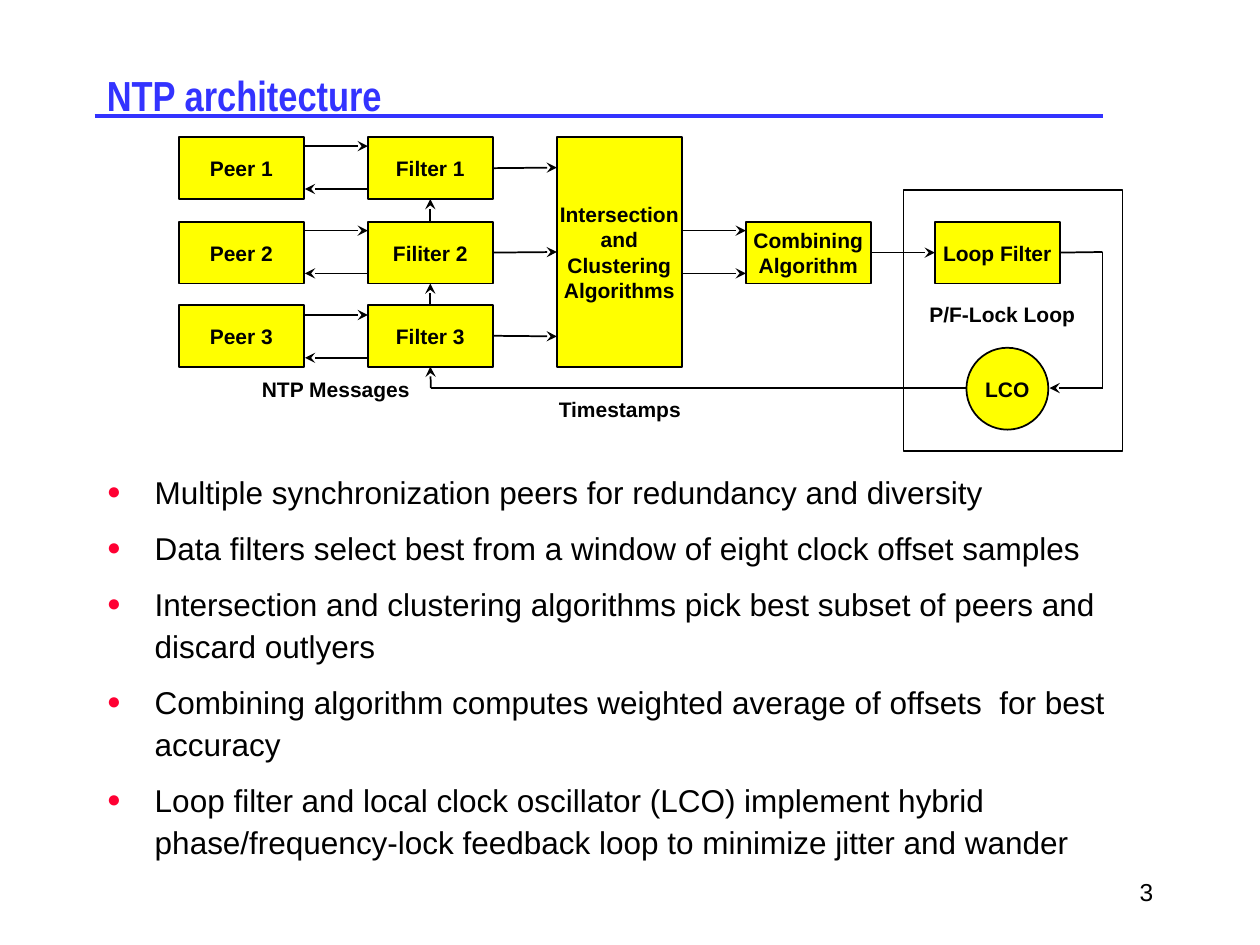
from lxml.etree import SubElement
from pptx import Presentation
from pptx.dml.color import RGBColor
from pptx.enum.shapes import MSO_CONNECTOR, MSO_SHAPE
from pptx.enum.text import MSO_ANCHOR, PP_ALIGN
from pptx.oxml.ns import qn
from pptx.util import Inches, Pt

BLACK = RGBColor(0x00, 0x00, 0x00)
WHITE = RGBColor(0xFF, 0xFF, 0xFF)
YELLOW = RGBColor(0xFF, 0xFF, 0x00)
BLUE = RGBColor(0x33, 0x33, 0xFF)
RED = RGBColor(0xFF, 0x00, 0x33)

TOP, LEFT, BOTTOM, RIGHT = range(4)
BOX_W, BOX_H = 0.99, 0.49
COLUMNS = [1.42 + 1.5 * i for i in range(5)]
ROWS = [1.09, 1.76, 2.42]
ROW_MIDDLES = [1.33, 2.0, 2.67]
ARROW_OFFSET = 0.17
FEEDBACK_Y = 3.08

BULLETS = [
    "Multiple synchronization peers for redundancy and diversity",
    "Data filters select best from a window of eight clock offset samples",
    "Intersection and clustering algorithms pick best subset of peers and discard outlyers",
    "Combining algorithm computes weighted average of offsets  for best accuracy",
    "Loop filter and local clock oscillator (LCO) implement hybrid "
    "phase/frequency-lock feedback loop to minimize jitter and wander",
]


def set_font(paragraph, size, color=BLACK, bold=False, name="Arial"):
    font = paragraph.font
    font.name, font.size, font.bold = name, Pt(size), bold
    font.color.rgb = color


def add_block(slide, text, left, top, width=BOX_W, height=BOX_H,
              fill=YELLOW, outline=BLACK, kind=MSO_SHAPE.RECTANGLE):
    """Add a filled shape with bold centred text; outline None means no line."""
    block = slide.shapes.add_shape(
        kind, Inches(left), Inches(top), Inches(width), Inches(height))
    block.shadow.inherit = False
    block.fill.solid()
    block.fill.fore_color.rgb = fill
    if outline is None:
        block.line.fill.background()
    else:
        block.line.color.rgb = outline
        block.line.width = Pt(1)
    frame = block.text_frame
    frame.word_wrap = False
    frame.vertical_anchor = MSO_ANCHOR.MIDDLE
    frame.text = text
    for paragraph in frame.paragraphs:
        paragraph.alignment = PP_ALIGN.CENTER
        set_font(paragraph, 12, bold=True)
    return block


def add_label(slide, text, left, top, width):
    add_block(slide, text, left, top, width, 0.33, fill=WHITE, outline=None)


def add_line(slide, start, end, arrow=False, color=BLACK, width=1,
             begin_at=None, end_at=None):
    """Draw start to end; begin_at and end_at are (shape, side) to join."""
    line = slide.shapes.add_connector(
        MSO_CONNECTOR.STRAIGHT, *(Inches(v) for v in (*start, *end)))
    if begin_at:
        line.begin_connect(*begin_at)
    if end_at:
        line.end_connect(*end_at)
    line.line.color.rgb = color
    line.line.width = Pt(width)
    if arrow:
        SubElement(line.line._get_or_add_ln(), qn("a:tailEnd"), type="stealth")
    SubElement(line._element.spPr, qn("a:effectLst"))


def add_text(slide, left, top, width, height, anchor=MSO_ANCHOR.MIDDLE):
    box = slide.shapes.add_textbox(
        Inches(left), Inches(top), Inches(width), Inches(height))
    box.text_frame.word_wrap = True
    box.text_frame.vertical_anchor = anchor
    return box.text_frame


def add_title(slide):
    add_line(slide, (0.75, 0.92), (8.75, 0.92), color=BLUE, width=2)
    title = add_text(slide, 0.75, 0.42, 8.5, 0.67).paragraphs[0]
    title.text = "NTP architecture"
    set_font(title, 24, BLUE, True, "Arial Narrow")


def add_bullets(slide):
    frame = add_text(slide, 0.75, 3.67, 8.5, 3.17, MSO_ANCHOR.TOP)
    frame.text = "\n".join(BULLETS)
    for i, paragraph in enumerate(frame.paragraphs):
        paragraph.line_spacing = Pt(24)
        paragraph.space_before = Pt(8 if i else 0)
        props = paragraph._p.get_or_add_pPr()
        props.set("marL", str(Inches(0.38)))
        props.set("indent", str(-Inches(0.38)))
        color = SubElement(props, qn("a:buClr"))
        SubElement(color, qn("a:srgbClr"), val=str(RED))
        SubElement(props, qn("a:buSzPct"), val="75000")
        SubElement(props, qn("a:buFont"), typeface="Arial")
        SubElement(props, qn("a:buChar"), char="●")
        set_font(paragraph, 18)


def add_diagram(slide):
    peer_x, filter_x, cluster_x, combine_x, loop_x = COLUMNS
    middle = ROW_MIDDLES[1]

    add_label(slide, "NTP Messages", 2.17, 2.92, 0.99)
    add_block(slide, "", 7.17, 1.51, 1.74, 2.07, fill=WHITE)
    for i, top in enumerate(ROWS, 1):
        add_block(slide, f"Peer {i}", peer_x, top)
    filters = [add_block(slide, text, filter_x, top)
               for text, top in zip(("Filter 1", "Filiter 2", "Filter 3"), ROWS)]
    cluster = add_block(slide, "Intersection\nand\nClustering\nAlgorithms",
                        cluster_x, ROWS[0], height=1.82)
    combining = add_block(slide, "Combining\nAlgorithm", combine_x, ROWS[1])
    loop_filter = add_block(slide, "Loop Filter", loop_x, ROWS[1])
    add_block(slide, "LCO", 7.67, 2.76, 0.65, 0.65, kind=MSO_SHAPE.OVAL)
    add_label(slide, "Timestamps", cluster_x, FEEDBACK_Y, 1)
    add_label(slide, "P/F-Lock Loop", 7.33, 2.33, 1.25)

    for y, source in zip(ROW_MIDDLES, filters):
        upper, lower = y - ARROW_OFFSET, y + ARROW_OFFSET
        add_line(slide, (peer_x + 1, upper), (filter_x, upper), arrow=True)
        add_line(slide, (filter_x, lower), (peer_x + 1, lower), arrow=True)
        add_line(slide, (filter_x + 1, y), (cluster_x, y), arrow=True,
                 begin_at=(source, RIGHT),
                 end_at=(cluster, LEFT) if y == middle else None)
    for y in (middle - ARROW_OFFSET, middle + ARROW_OFFSET):
        add_line(slide, (cluster_x + 1, y), (combine_x, y), arrow=True)
    add_line(slide, (combine_x + 1, middle), (loop_x, middle), arrow=True,
             begin_at=(combining, RIGHT), end_at=(loop_filter, LEFT))

    # Loop filter to oscillator, then timestamps back up through the filters
    corner_x, filter_mid = 8.75, filter_x + 0.5
    add_line(slide, (loop_x + 1, middle), (corner_x, middle),
             begin_at=(loop_filter, RIGHT))
    add_line(slide, (corner_x, middle), (corner_x, FEEDBACK_Y))
    add_line(slide, (corner_x, FEEDBACK_Y), (8.33, FEEDBACK_Y), arrow=True)
    add_line(slide, (7.67, FEEDBACK_Y), (filter_mid, FEEDBACK_Y))
    add_line(slide, (filter_mid, FEEDBACK_Y), (filter_mid, 2.92), arrow=True,
             end_at=(filters[2], BOTTOM))
    for above, below in zip(filters, filters[1:]):
        add_line(slide, (filter_mid, 2), (filter_mid, 1), arrow=True,
                 begin_at=(below, TOP), end_at=(above, BOTTOM))


def add_page_number(slide):
    number = add_text(slide, 7.17, 6.83, 2.08, 0.5).paragraphs[0]
    number.text = "3"
    number.alignment = PP_ALIGN.RIGHT
    set_font(number, 14)


def main():
    deck = Presentation()
    deck.slide_width, deck.slide_height = Inches(10), Inches(7.5)
    slide = deck.slides.add_slide(deck.slide_layouts[6])
    add_title(slide)
    add_diagram(slide)
    add_bullets(slide)
    add_page_number(slide)
    deck.save("out.pptx")


if __name__ == "__main__":
    main()
